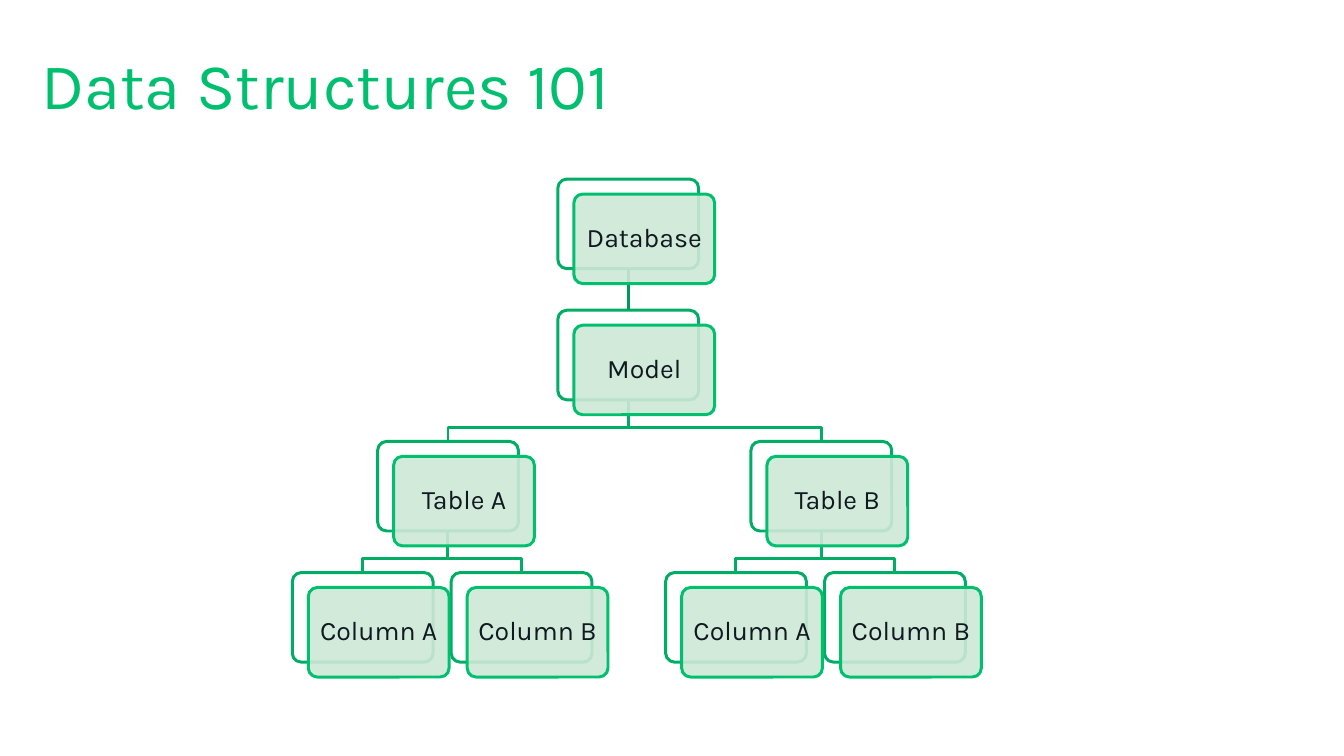
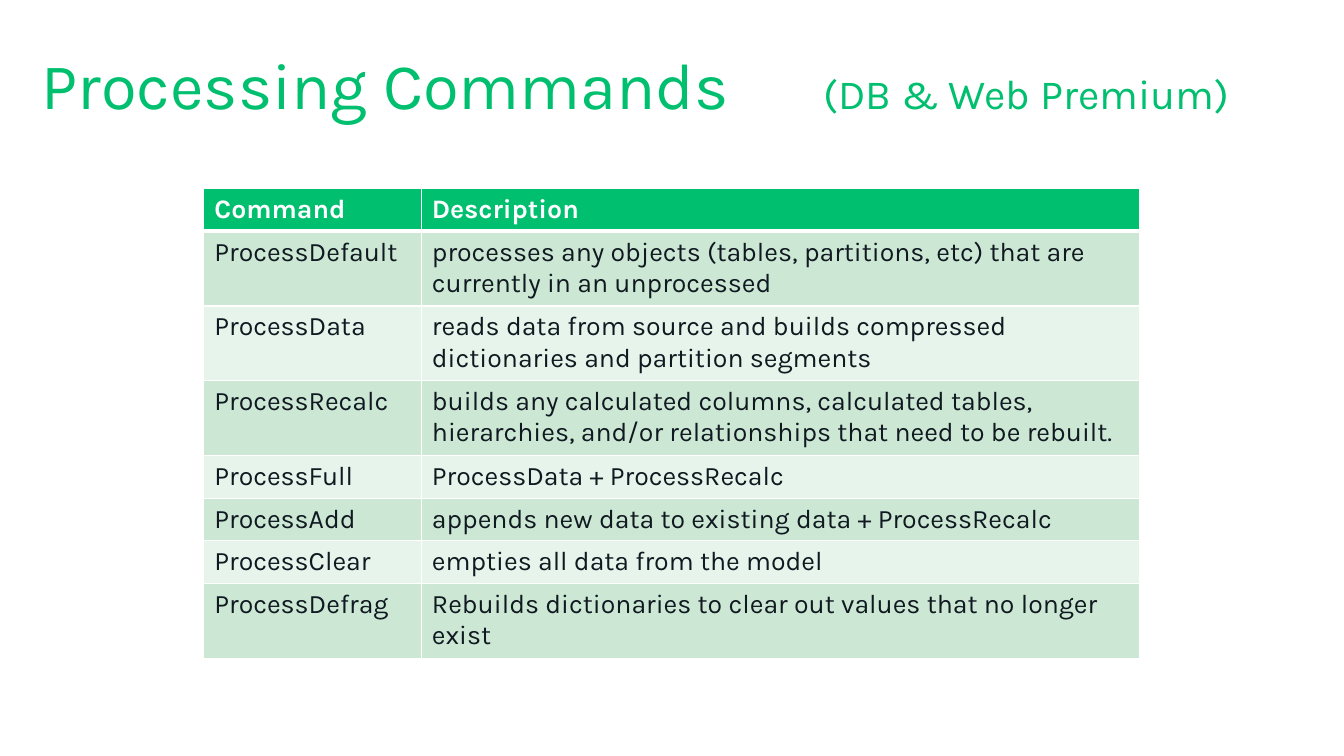
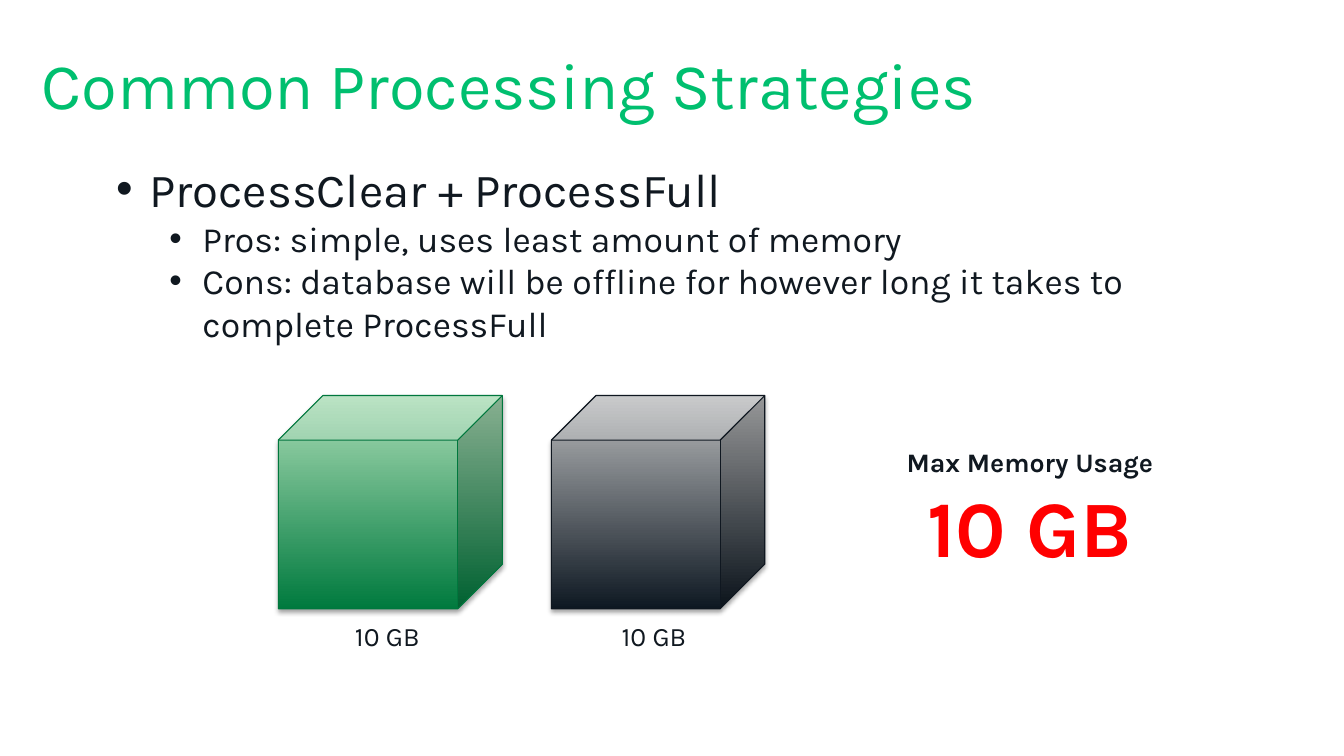
from lxml.etree import SubElement as Sub
from pptx import Presentation
from pptx.dml.color import RGBColor as Rgb
from pptx.enum.shapes import MSO_CONNECTOR as Con, MSO_SHAPE as Geo
from pptx.enum.text import MSO_ANCHOR as Anc, PP_ALIGN as Al
from pptx.oxml.ns import qn
from pptx.util import Inches, Pt

HUE = {
    "green": "00BF6F", "edge": "00AD65", "stem": "009959", "mint": "CCE8D5",
    "pale": "E7F4EB", "ink": "101820", "white": "FFFFFF", "red": "FF0000",
    "leaf": "007A3E", "lime": "ABDDB6", "rim": "00773D",
    "night": "0E1822", "fog": "BCBDBE", "coal": "0F1720",
}
FACE = "Karla"
HEAD = (0.39, 0.39, 11.81, 0.79)
CARD_W, CARD_H, STEP = 1.32, 0.84, 1.23
SHIFT_X, SHIFT_Y = 0.15, 0.14


def rgb(name):
    return Rgb.from_string(HUE[name])


def put(obj, **fmt):
    for key, val in fmt.items():
        setattr(obj, key, val)


def ink(font, size, hue="ink", bold=False):
    put(font, name=FACE, size=Pt(size), bold=bold)
    font.color.rgb = rgb(hue)


def paint(shape, fill, line, width):
    shape.shadow.inherit = False
    if fill:
        shape.fill.solid()
        shape.fill.fore_color.rgb = rgb(fill)
    else:
        shape.fill.background()
    shape.line.color.rgb = rgb(line)
    shape.line.width = Pt(width)


def inset(frame, gap):
    sides = ("left", "top", "right", "bottom")
    put(frame, **{f"margin_{side}": Inches(gap) for side in sides})


def label(slide, box, lines, wrap=False, align=Al.LEFT):
    frame = slide.shapes.add_textbox(*map(Inches, box)).text_frame
    frame.word_wrap = wrap
    for i, (text, size, hue, bold) in enumerate(lines):
        para = frame.add_paragraph() if i else frame.paragraphs[0]
        para.alignment = align
        run = para.add_run()
        run.text = text
        ink(run.font, size, hue, bold)
    return frame


def title(slide, text, side=None):
    frame = label(slide, HEAD, [(text, 44, "green", False)], True)
    inset(frame, 0)
    frame.vertical_anchor = Anc.MIDDLE
    if side:
        para = frame.paragraphs[0]
        tabs = Sub(para._p.get_or_add_pPr(), qn("a:tabLst"))
        Sub(tabs, qn("a:tab"), pos=str(Inches(7.33)), algn="l")
        run = para.add_run()
        run.text = "\t" + side
        ink(run.font, 28, "green")


def card(slide, left, top, fill, line):
    box = map(Inches, (left, top, CARD_W, CARD_H))
    shape = slide.shapes.add_shape(Geo.ROUNDED_RECTANGLE, *box)
    shape.adjustments[0] = 0.1
    paint(shape, fill, line, 2)
    return shape


def front(slide, left, top, text):
    shape = card(slide, left + SHIFT_X, top + SHIFT_Y, "mint", "green")
    tone = shape._element.spPr.find(qn("a:solidFill"))[0]
    Sub(tone, qn("a:alpha"), val="90000")
    frame = shape.text_frame
    inset(frame, 0.05)
    put(frame, word_wrap=True, vertical_anchor=Anc.MIDDLE)
    para = frame.paragraphs[0]
    put(para, text=text, alignment=Al.CENTER, line_spacing=0.9)
    ink(para.font, 18)


def stem(slide, top, low):
    line = slide.shapes.add_connector(Con.STRAIGHT, 0, 0, 0, 0)
    line.begin_connect(top, 2)
    line.end_connect(low, 0)
    line.line.color.rgb = rgb("stem")
    line.line.width = Pt(2)
    Sub(line._element.spPr, qn("a:effectLst"))


def elbow(slide, top, low):
    x, y = top.left + top.width // 2, top.top + top.height
    end = low.left + low.width // 2
    mid = y + Inches(0.26)
    path = slide.shapes.build_freeform(x, y)
    path.add_line_segments([(x, mid), (end, mid), (end, low.top)], close=False)
    paint(path.convert_to_shape(), None, "edge", 2)


def tree(slide, left, top):
    nodes = [("Database", 2.49, 0, None), ("Model", 2.49, 1, 0)]
    for name, dx in (("A", 0), ("B", 3.5)):
        root = len(nodes)
        nodes += [(f"Table {name}", dx + 0.8, 2, 1),
                  ("Column A", dx, 3, root), ("Column B", dx + 1.49, 3, root)]
    backs = [card(slide, left + x, top + row * STEP, "white", "edge")
             for _, x, row, _ in nodes]
    for low, (_, _, _, root) in zip(backs, nodes):
        if root is not None:
            join = stem if backs[root].left == low.left else elbow
            join(slide, backs[root], low)
    for text, x, row, _ in nodes:
        front(slide, left + x, top + row * STEP, text)


def border(cell, low):
    props = cell._tc.get_or_add_tcPr()
    for i, (side, width) in enumerate(zip("LRTB", (1, 1, 1, low))):
        line = props.makeelement(qn(f"a:ln{side}"), {"w": str(Pt(width))})
        Sub(Sub(line, qn("a:solidFill")), qn("a:srgbClr"), val=HUE["white"])
        props.insert(i, line)


def grid(slide, left, top, rows):
    cols, tall, short = (2.04, 6.73), 0.7, 0.39
    highs = [tall if len(text) > 50 else short for _, text in rows]
    box = map(Inches, (left, top, sum(cols), sum(highs)))
    table = slide.shapes.add_table(len(rows), 2, *box).table
    for col, width in zip(table.columns, cols):
        col.width = Inches(width)
    for r, row in enumerate(rows):
        table.rows[r].height = Inches(highs[r])
        for c, text in enumerate(row):
            cell = table.cell(r, c)
            cell.text = text
            ink(cell.text_frame.paragraphs[0].runs[0].font, 18,
                "ink" if r else "white", not r)
            cell.fill.solid()
            cell.fill.fore_color.rgb = rgb(("pale", "mint")[r % 2] if r else "green")
            border(cell, 1 if r else 3)


def points(slide, box, items):
    lines = [(text, 24 if lvl else 32, "ink", False) for lvl, text in items]
    frame = label(slide, box, lines, True)
    for para, (lvl, _) in zip(frame.paragraphs, items):
        props = para._p.get_or_add_pPr()
        put(para, level=lvl)
        props.set("marL", str(Inches(0.31 + lvl * 0.5)))
        props.set("indent", str(Inches(-0.31)))
        Sub(props, qn("a:buFont"), typeface="Arial")
        Sub(props, qn("a:buChar"), char="•")


def cube(slide, box, low, high, line, note):
    left, top, width, height = box
    shape = slide.shapes.add_shape(Geo.CUBE, *map(Inches, box))
    shape.adjustments[0] = 0.209
    paint(shape, low, line, 0.75)
    shape.fill.gradient()
    shape.fill.gradient_angle = 90
    for stop, hue in zip(shape.fill.gradient_stops, (low, high)):
        stop.color.rgb = rgb(hue)
    cast = Sub(shape._element.spPr.find(qn("a:effectLst")), qn("a:outerShdw"),
               blurRad=str(Pt(3.1)), dist=str(Pt(1.8)), dir="5400000",
               rotWithShape="0")
    Sub(Sub(cast, qn("a:srgbClr"), val="000000"), qn("a:alpha"), val="35000")
    label(slide, (note, top + height + 0.05, 0.86, 0.4),
          [("10 GB", 18, "ink", False)])


def main():
    deck = Presentation()
    put(deck, slide_width=Inches(12.6), slide_height=Inches(7.09))
    blank = deck.slide_layouts[6]

    slide = deck.slides.add_slide(blank)
    title(slide, "Data Structures 101")
    tree(slide, 2.74, 1.68)

    slide = deck.slides.add_slide(blank)
    title(slide, "Processing Commands", "(DB & Web Premium)")
    grid(slide, 1.91, 1.77, [
        ("Command", "Description"),
        ("ProcessDefault", "processes any objects (tables, partitions, etc) "
         "that are currently in an unprocessed"),
        ("ProcessData", "reads data from source and builds compressed "
         "dictionaries and partition segments"),
        ("ProcessRecalc", "builds any calculated columns, calculated tables, "
         "hierarchies, and/or relationships that need to be rebuilt."),
        ("ProcessFull", "ProcessData + ProcessRecalc"),
        ("ProcessAdd", "appends new data to existing data + ProcessRecalc"),
        ("ProcessClear", "empties all data from the model"),
        ("ProcessDefrag", "Rebuilds dictionaries to clear out values that "
         "no longer exist"),
    ])

    slide = deck.slides.add_slide(blank)
    title(slide, "Common Processing Strategies")
    points(slide, (0.99, 1.45, 10.73, 2.26), [
        (0, "ProcessClear + ProcessFull"),
        (1, "Pros: simple, uses least amount of memory"),
        (1, "Cons: database will be offline for however long it takes to "
         "complete ProcessFull"),
    ])
    cube(slide, (2.61, 3.71, 2.1, 2), "leaf", "lime", "rim", 3.23)
    cube(slide, (5.17, 3.71, 2, 2), "night", "fog", "coal", 5.73)
    label(slide, (8.36, 4.13, 2.59, 1.31),
          [("Max Memory Usage", 18, "ink", True), ("10 GB", 54, "red", True)],
          align=Al.CENTER)
    deck.save("out.pptx")


if __name__ == "__main__":
    main()
